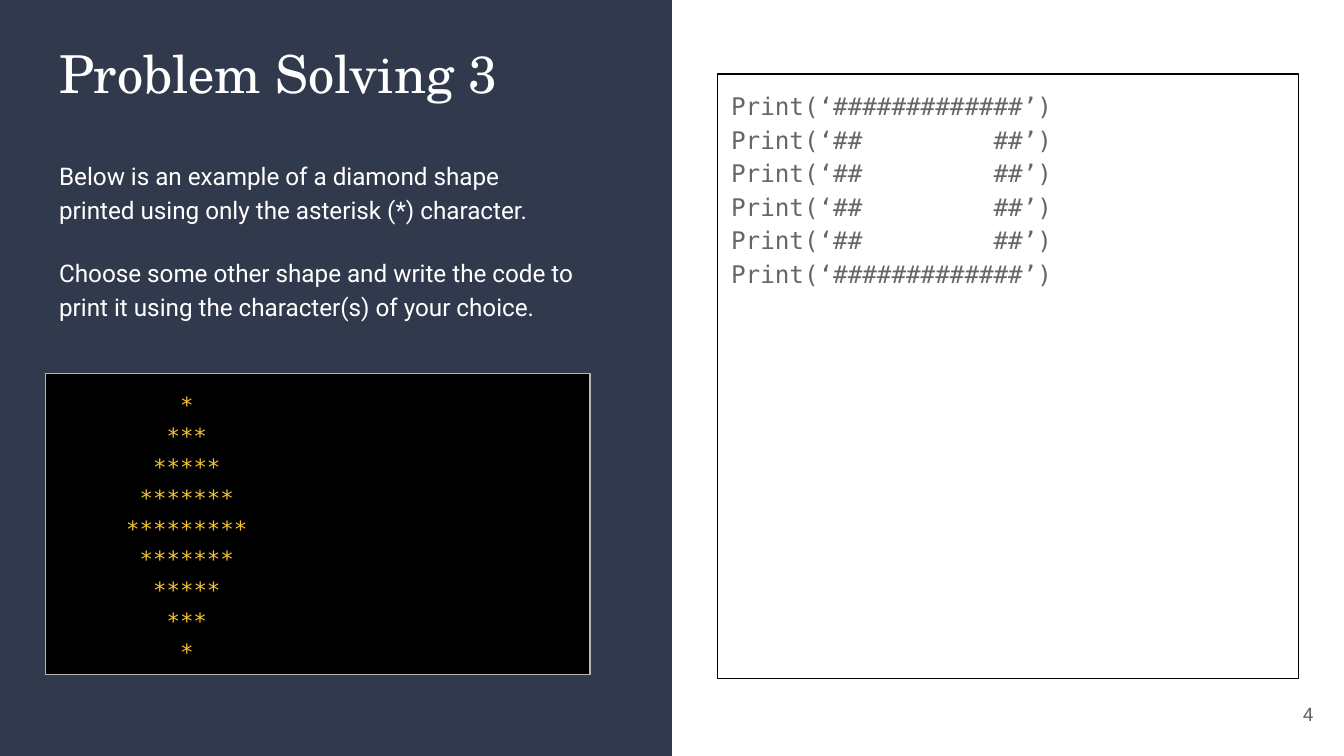
"""Build the slide on printing a shape with characters."""
from dataclasses import dataclass
from typing import Optional

from lxml.etree import SubElement
from pptx import Presentation
from pptx.dml.color import RGBColor
from pptx.enum.shapes import MSO_SHAPE
from pptx.enum.text import MSO_ANCHOR, MSO_AUTO_SIZE, PP_ALIGN
from pptx.oxml.ns import qn
from pptx.util import Inches, Pt

NAVY = RGBColor(0x31, 0x39, 0x4D)
WHITE = RGBColor(0xFF, 0xFF, 0xFF)
BLACK = RGBColor(0, 0, 0)
GREY = RGBColor(0x66, 0x66, 0x66)
SILVER = RGBColor(0xB7, 0xB7, 0xB7)
GOLD = RGBColor(0xF1, 0xC2, 0x32)
MONO = "DejaVu Sans Mono"
SANS = "Roboto"
SERIF = "TeX Gyre Schola"


@dataclass
class Block:
    box: tuple[float, float, float, float]
    lines: list[str]
    font: str
    size: float
    color: RGBColor
    fill: Optional[RGBColor] = None
    edge: Optional[RGBColor] = None
    align: PP_ALIGN = PP_ALIGN.LEFT
    anchor: MSO_ANCHOR = MSO_ANCHOR.TOP
    leading: float = 1.15
    gap: float = 0
    right: float = 0.1


def place(shape, box: tuple[float, float, float, float]) -> None:
    """Move and size a shape in inches."""
    shape.left, shape.top, shape.width, shape.height = map(Inches, box)


def fill_block(shape, block: Block) -> None:
    """Place a shape and write its styled text."""
    place(shape, block.box)
    if block.fill is not None:
        shape.fill.solid()
        shape.fill.fore_color.rgb = block.fill
    if block.edge is not None:
        shape.line.color.rgb = block.edge
        shape.line.width = Pt(0.75)
    frame = shape.text_frame
    frame.text = "\n".join(block.lines)
    frame.word_wrap = True
    frame.auto_size = MSO_AUTO_SIZE.NONE
    frame.vertical_anchor = block.anchor
    frame.margin_left = frame.margin_top = frame.margin_bottom = Inches(0.1)
    frame.margin_right = Inches(block.right)
    for index, para in enumerate(frame.paragraphs):
        para.alignment = block.align
        para.line_spacing = block.leading
        para.space_before = Pt(block.gap if index else 0)
        para.space_after = Pt(0)
        props = para._p.get_or_add_pPr()
        props.set("marL", "0")
        props.set("indent", "0")
        SubElement(props, qn("a:buNone"))
        for run in para.runs:
            run.font.name = block.font
            run.font.size = Pt(block.size)
            run.font.bold = False
            run.font.color.rgb = block.color


def main() -> None:
    """Draw the slide and save it."""
    deck = Presentation()
    deck.slide_width = Inches(10)
    deck.slide_height = deck.slide_width * 9 // 16
    slide = deck.slides.add_slide(deck.slide_layouts[4])
    shapes = slide.shapes

    panel = shapes.add_shape(MSO_SHAPE.RECTANGLE, 0, 0, Inches(5), deck.slide_height)
    panel.shadow.inherit = False
    panel.fill.solid()
    panel.fill.fore_color.rgb = NAVY
    panel.line.fill.background()
    shapes.element.insert(2, panel.element)

    edge = f"Print(‘{'#' * 13}’)"
    side = f"Print(‘##{' ' * 9}##’)"
    stars = ["*" * (9 - 2 * abs(row)) for row in range(-4, 5)]
    task = [
        "Below is an example of a diamond shape printed using only the asterisk (*) character.",
        "Choose some other shape and write the code to print it using the character(s) of your choice.",
    ]
    title = Block((0.34, 0.21, 4.05, 2.24), ["Problem Solving 3"], SERIF, 28, WHITE, leading=1)
    code = Block((5.34, 0.55, 4.32, 4.5), [edge, *[side] * 4, edge], MONO, 13, GREY, edge=BLACK)
    prompt = Block((0.34, 1.07, 4.05, 1.42), task, SANS, 13, WHITE, gap=16)
    diamond = Block((0.34, 2.78, 4.05, 2.24), stars, MONO, 12, GOLD, fill=BLACK,
                    edge=SILVER, align=PP_ALIGN.CENTER, right=2.05)
    number = Block((9.27, 5.1, 0.6, 0.43), ["4"], SANS, 10, GREY, align=PP_ALIGN.RIGHT,
                   anchor=MSO_ANCHOR.MIDDLE, leading=1)

    holders = list(slide.placeholders)
    for holder, block in zip(holders, [title, code, prompt, diamond]):
        fill_block(holder, block)
    spare = holders[-1].element
    spare.getparent().remove(spare)
    fill_block(shapes.add_textbox(0, 0, 0, 0), number)
    deck.save("out.pptx")


if __name__ == "__main__":
    main()
